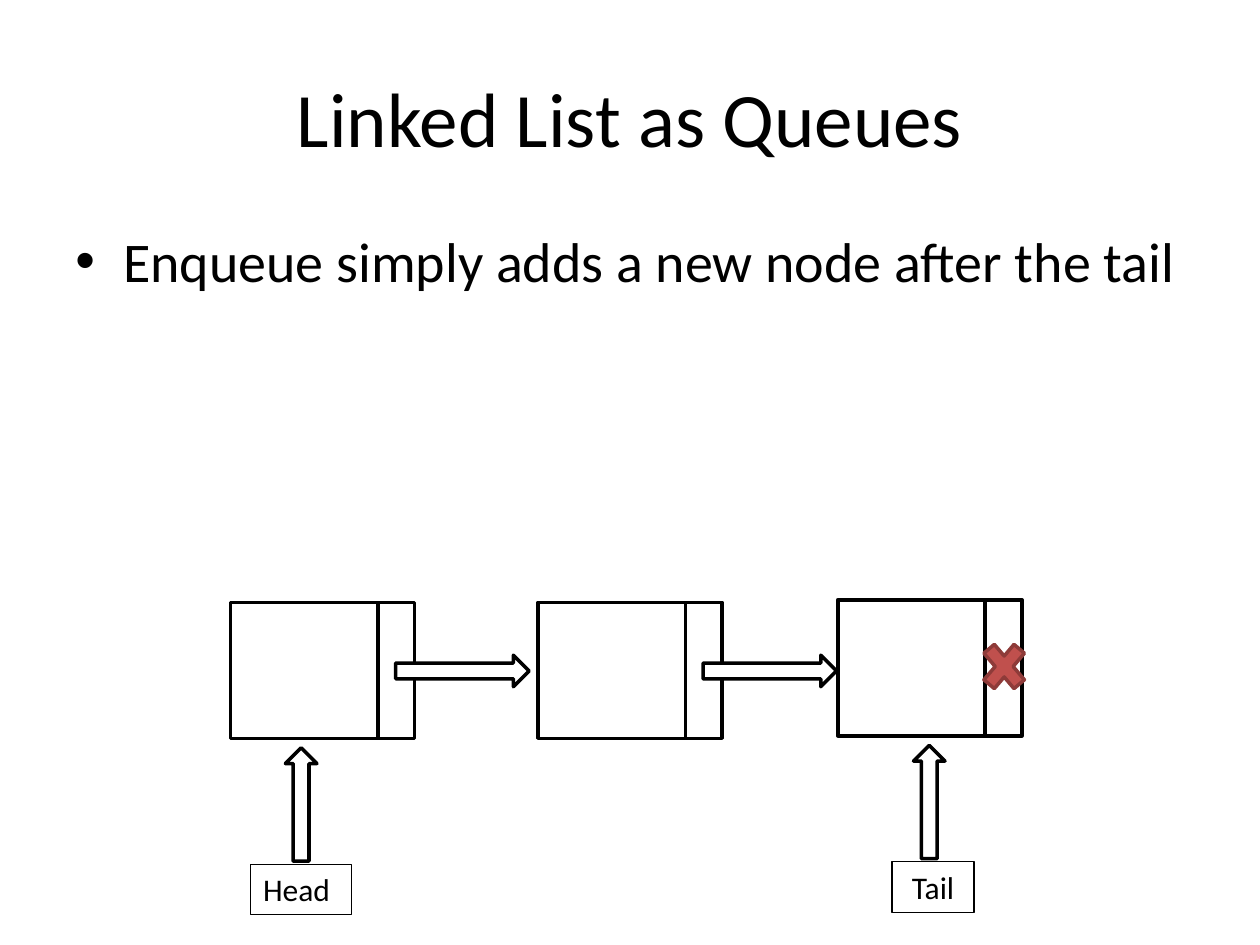
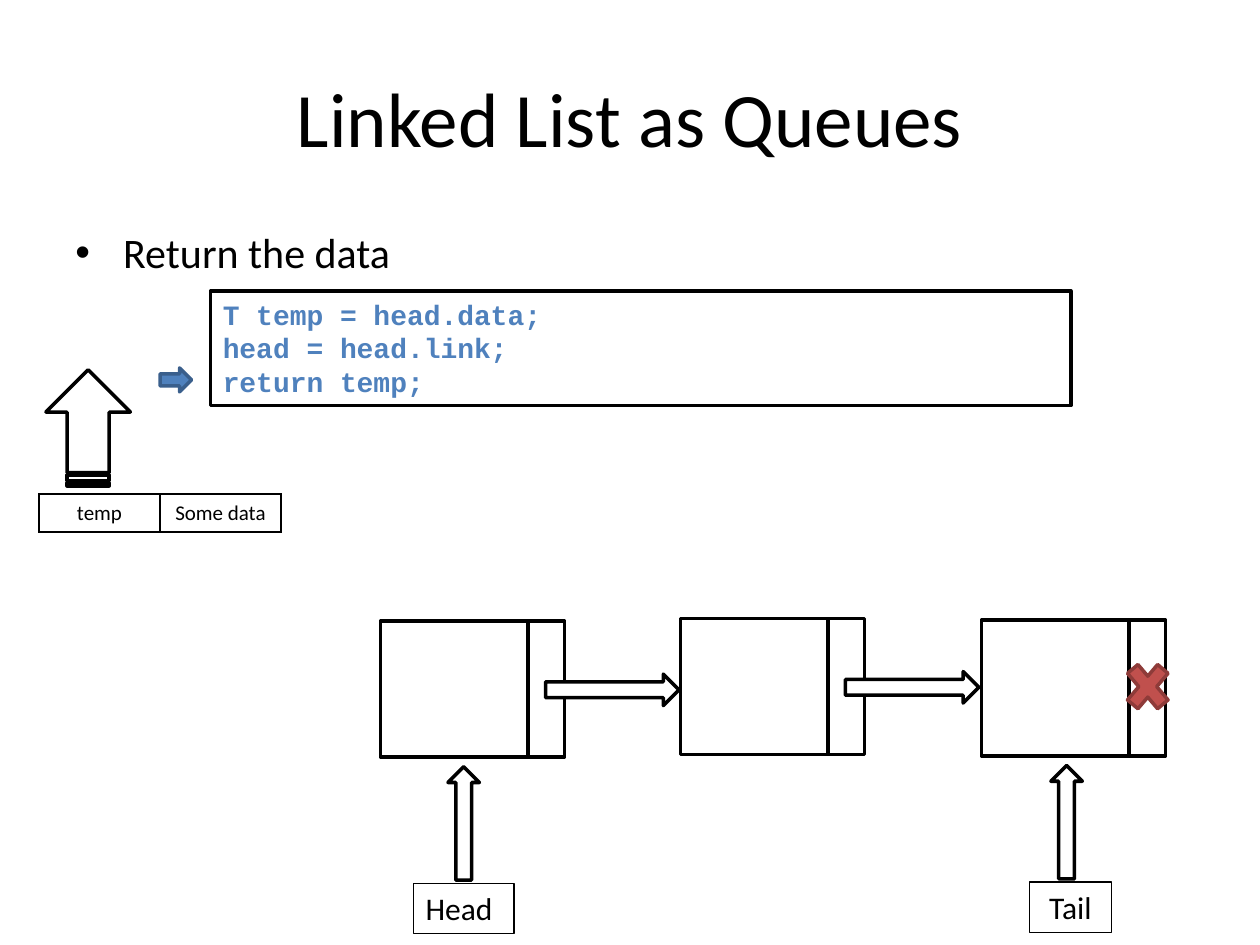
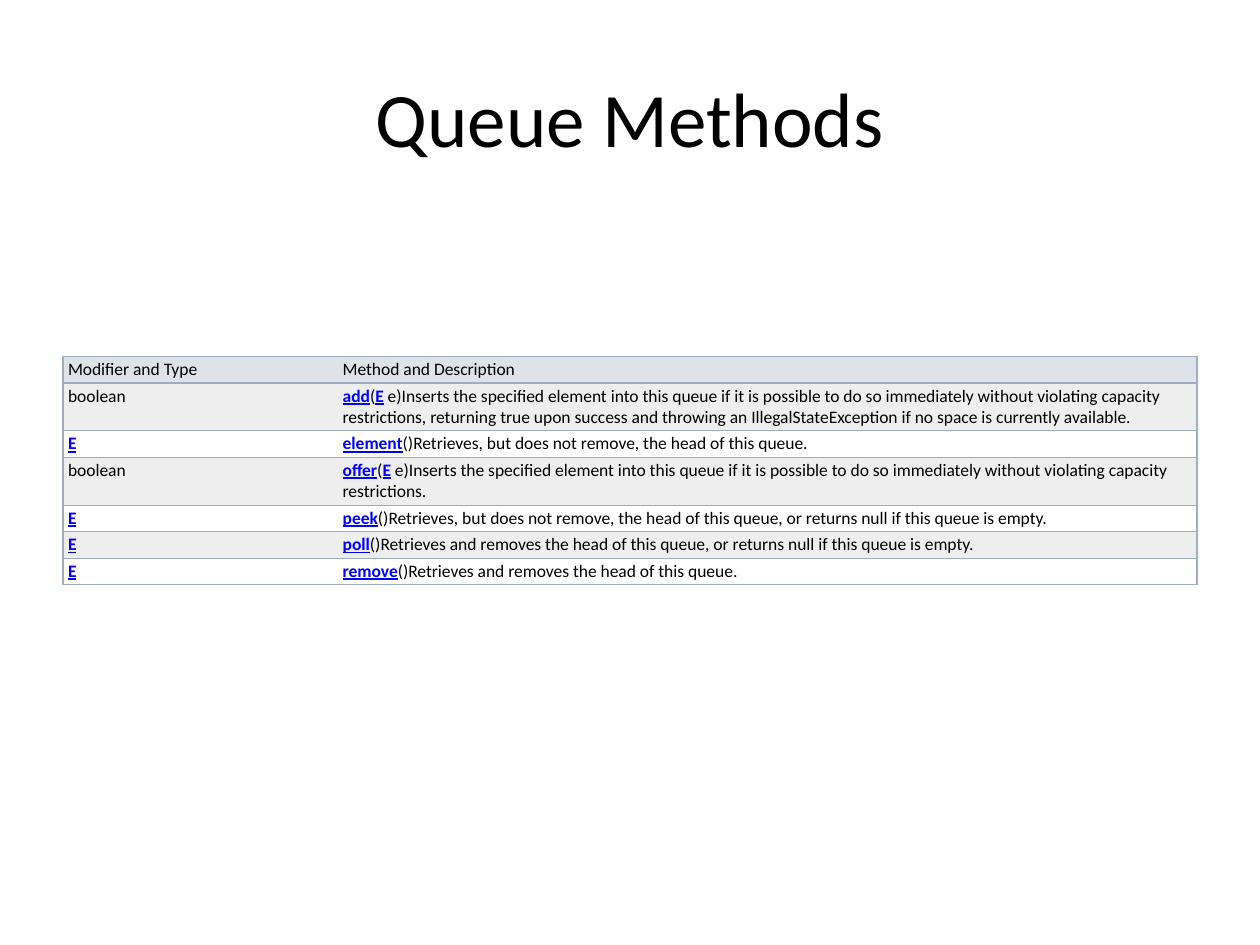
import pptx
import pptx.util
import pptx.dml.color
import pptx.enum.shapes
import pptx.enum.text
import pptx.oxml
import pptx.oxml.ns

Inches = pptx.util.Inches
Pt = pptx.util.Pt
SHAPE = pptx.enum.shapes.MSO_SHAPE
ALIGN = pptx.enum.text.PP_ALIGN
ANCHOR = pptx.enum.text.MSO_ANCHOR

BLACK, WHITE, BLUE, RED = "000000", "FFFFFF", "4F81BD", "C0504D"
LINK, GRID, HEADER, BAND = "0000FF", "9EADC0", "DEE3E9", "EEEEEF"
BODY_FONT, CODE_FONT = "Calibri", "Courier New"
NODE_W, NODE_H, DATA_W = 1.46, 1.08, 1.17

METHODS = [
    ("Modifier and Type", "Method and Description"),
    ("boolean", "*add*(*E*\u00a0e)Inserts the specified element into this queue if it is "
     "possible to do so immediately without violating capacity restrictions, "
     "returning\u00a0true\u00a0upon success and throwing an\u00a0IllegalStateException"
     "\u00a0if no space is currently available."),
    ("*E*", "*element*()Retrieves, but does not remove, the head of this queue."),
    ("boolean", "*offer*(*E*\u00a0e)Inserts the specified element into this queue if it is "
     "possible to do so immediately without violating capacity restrictions."),
    ("*E*", "*peek*()Retrieves, but does not remove, the head of this queue, "
     "or returns\u00a0null\u00a0if this queue is empty."),
    ("*E*", "*poll*()Retrieves and removes the head of this queue, "
     "or returns\u00a0null\u00a0if this queue is empty."),
    ("*E*", "*remove*()Retrieves and removes the head of this queue."),
]


def rgb(value):
    """Turn a hex string into a colour."""
    return pptx.dml.color.RGBColor.from_string(value)


def write(tf, text, size=18, font=BODY_FONT, color=BLACK, bold=False,
          align=ALIGN.LEFT, anchor=ANCHOR.TOP, bullet=False, links=False):
    """Fill a text frame, one paragraph a line; with links, *word* is a link."""
    tf.word_wrap = True
    tf.vertical_anchor = anchor
    for i, line in enumerate(text.split("\n")):
        p = tf.paragraphs[0] if i == 0 else tf.add_paragraph()
        p.alignment = align
        if bullet:
            add_bullet(p, size)
        for j, part in enumerate(line.split("*") if links else [line]):
            if not part:
                continue
            is_link = j % 2 == 1
            r = p.add_run()
            r.text = part
            r.font.name, r.font.size = font, Pt(size)
            r.font.bold = bold or is_link
            r.font.underline = is_link
            r.font.color.rgb = rgb(LINK if is_link else color)


def add_bullet(p, size):
    """Give a paragraph a hanging round bullet."""
    p.space_before = Pt(size * 0.2)
    pPr = p._p.get_or_add_pPr()
    pPr.set("marL", str(Inches(0.38)))
    pPr.set("indent", str(Inches(-0.38)))
    for tag, key, value in (("buFont", "typeface", "Arial"), ("buChar", "char", "\u2022")):
        pptx.oxml.ns.qn("a:" + tag)
        pPr.append(pptx.oxml.parse_xml(
            f'<a:{tag} {pptx.oxml.ns.nsdecls("a")} {key}="{value}"/>'))


def add_text(s, x, y, w, h, text, **fmt):
    """Add a text box."""
    tb = s.shapes.add_textbox(Inches(x), Inches(y), Inches(w), Inches(h))
    write(tb.text_frame, text, **fmt)


def add_shape(s, kind, x, y, w, h, fill=WHITE, line=BLACK, width=2, rotation=0):
    """Add an outlined preset shape; a fill of None leaves it open."""
    sp = s.shapes.add_shape(kind, Inches(x), Inches(y), Inches(w), Inches(h))
    sp.shadow.inherit = False
    sp.rotation = rotation
    if fill:
        sp.fill.solid()
        sp.fill.fore_color.rgb = rgb(fill)
    else:
        sp.fill.background()
    sp.line.color.rgb = rgb(line)
    sp.line.width = Pt(width)
    return sp


def add_slide(prs, title, body=None, size=32):
    """Add a slide with its title and an optional bullet."""
    s = prs.slides.add_slide(prs.slide_layouts[6])
    add_text(s, 0.5, 0.3, 9, 1.25, title, size=44, align=ALIGN.CENTER, anchor=ANCHOR.MIDDLE)
    if body:
        add_text(s, 0.5, 1.75, 9, 4.95, body, size=size, bullet=True)
    return s


def add_node(s, x, y):
    """Draw a list node: a data cell and a link cell."""
    add_shape(s, SHAPE.RECTANGLE, x, y, DATA_W, NODE_H)
    add_shape(s, SHAPE.RECTANGLE, x + DATA_W, y, NODE_W - DATA_W, NODE_H)


def add_pointer(s, x, y, w, text, shift=0, align=ALIGN.LEFT):
    """Draw a labelled arrow up to the node whose top is y."""
    sp = add_shape(s, SHAPE.RECTANGLE, x, y + 2.08, w, 0.4, fill=None, width=0.75)
    write(sp.text_frame, text, align=align)
    add_shape(s, SHAPE.RIGHT_ARROW, x + w / 2 + shift - 0.45, y + 1.48, 0.9, 0.25, rotation=270)


def add_linked_list(s, nodes, head_dx, tail_dx):
    """Draw linked nodes at the given corners, with head and tail pointers."""
    for x, y in nodes:
        add_node(s, x, y)
    for x, y in nodes[:-1]:
        add_shape(s, SHAPE.RIGHT_ARROW, x + 1.31, y + 0.42, 1.06, 0.25)
    (head_x, head_y), (tail_x, tail_y) = nodes[0], nodes[-1]
    add_shape(s, SHAPE.MATH_MULTIPLY, tail_x + 1.09, tail_y + 0.26, 0.46, 0.54,
              fill=RED, line="8E3B39")
    add_pointer(s, head_x + head_dx, head_y, 0.8, "Head")
    add_pointer(s, tail_x + tail_dx, tail_y, 0.65, "Tail", shift=-0.03, align=ALIGN.CENTER)


def set_borders(cell, sides, color, width):
    """Draw the named sides (from LRTB) of a cell and clear the others."""
    tcPr = cell._tc.get_or_add_tcPr()
    for i, side in enumerate("LRTB"):
        paint = (f'<a:solidFill><a:srgbClr val="{color}"/></a:solidFill>'
                 if side in sides else "<a:noFill/>")
        tcPr.insert(i, pptx.oxml.parse_xml(
            f'<a:ln{side} {pptx.oxml.ns.nsdecls("a")} w="{Pt(width)}">{paint}</a:ln{side}>'))


def add_table(s, x, y, cols, rows):
    """Add a plain table with the given column widths and row heights."""
    tbl = s.shapes.add_table(len(rows), len(cols), Inches(x), Inches(y),
                             Inches(sum(cols)), Inches(sum(rows))).table
    tbl.first_row = tbl.horz_banding = False
    for column, w in zip(tbl.columns, cols):
        column.width = Inches(w)
    for row, h in zip(tbl.rows, rows):
        row.height = Inches(h)
    return tbl


def add_variable(s, x, y, name, value):
    """Show a variable and its value, with an arrow above them."""
    tbl = add_table(s, x, y, [0.96, 0.96], [0.3])
    for cell, text in zip(tbl.iter_cells(), (name, value)):
        cell.fill.background()
        set_borders(cell, "LRTB", BLACK, 1)
        write(cell.text_frame, text, size=12, align=ALIGN.CENTER)
    add_shape(s, SHAPE.STRIPED_RIGHT_ARROW, x - 0.07, y - 0.86, 0.92, 0.67, rotation=270)


def add_code(s, x, y, w, h, code):
    """Draw a code box with a marker at its last line."""
    sp = add_shape(s, SHAPE.RECTANGLE, x, y, w, h)
    write(sp.text_frame, code, size=16, font=CODE_FONT, color=BLUE, bold=True)
    add_shape(s, SHAPE.RIGHT_ARROW, x - 0.4, y + h - 0.3, 0.25, 0.19, fill=BLUE, line="3A5F8C")


def add_methods(s, x, y):
    """Draw the banded table of methods."""
    heights = [0.38 if len(text) > 120 else 0.21 for _, text in METHODS]
    tbl = add_table(s, x, y, [2.18, 6.82], heights)
    for i, texts in enumerate(METHODS):
        fill = HEADER if i == 0 else BAND if i % 2 else WHITE
        for j, text in enumerate(texts):
            cell = tbl.cell(i, j)
            cell.margin_left = Inches(0.04)
            cell.margin_right = cell.margin_top = cell.margin_bottom = Inches(0.02)
            cell.fill.solid()
            cell.fill.fore_color.rgb = rgb(fill)
            set_borders(cell, "LTB" if j == 0 else "RTB", GRID, 0.75)
            write(cell.text_frame, text, size=10, links=True)


def main():
    """Build and save the slides."""
    prs = pptx.Presentation()
    prs.slide_width, prs.slide_height = Inches(10), Inches(7.5)

    s = add_slide(prs, "Linked List as Queues", "Enqueue simply adds a new node after the tail")
    add_linked_list(s, [(1.83, 4.78), (4.27, 4.78), (6.65, 4.76)], 0.16, 0.43)

    s = add_slide(prs, "Linked List as Queues", "Return the data", size=24)
    add_linked_list(s, [(3.02, 4.93), (5.4, 4.91), (7.79, 4.92)], 0.26, 0.38)
    add_code(s, 1.67, 2.31, 6.83, 0.91, "T temp = head.data;\nhead = head.link;\nreturn temp;")
    add_variable(s, 0.31, 3.92, "temp", "Some data")

    s = add_slide(prs, "Queue Methods")
    add_methods(s, 0.5, 2.83)

    prs.save("out.pptx")


main()
